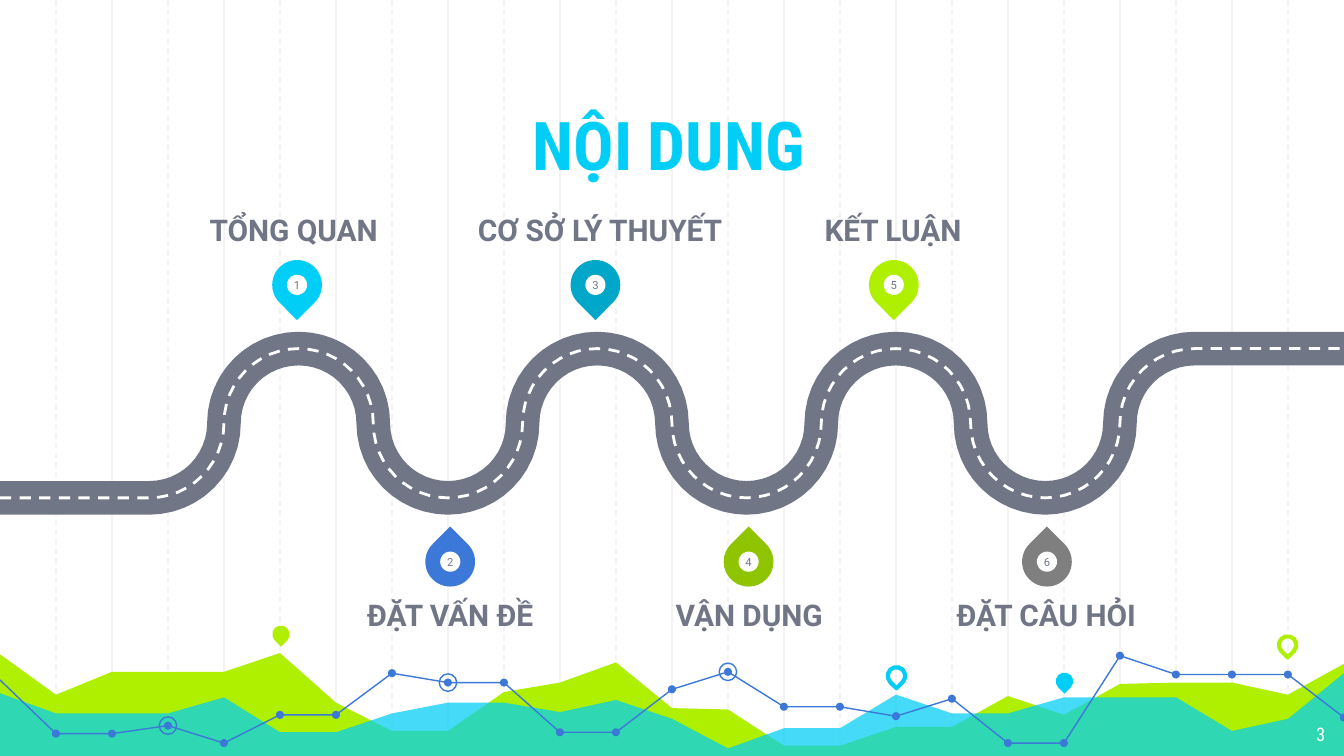
import math
from typing import NamedTuple, Optional

import lxml.etree
import pptx
import pptx.dml.color
import pptx.enum.dml
import pptx.enum.shapes
import pptx.enum.text
import pptx.oxml.ns
import pptx.util

RGBColor = pptx.dml.color.RGBColor
MSO_SHAPE = pptx.enum.shapes.MSO_SHAPE
PP_ALIGN = pptx.enum.text.PP_ALIGN
MSO_ANCHOR = pptx.enum.text.MSO_ANCHOR

CYAN = RGBColor(0x00, 0xCE, 0xF6)
TEAL = RGBColor(0x00, 0xA7, 0xC8)
LIME = RGBColor(0xAF, 0xF0, 0x00)
GREEN = RGBColor(0x8E, 0xC4, 0x00)
BLUE = RGBColor(0x3C, 0x78, 0xD8)
GRAY = RGBColor(0x7F, 0x7F, 0x7F)
SLATE = RGBColor(0x70, 0x76, 0x85)
PALE = RGBColor(0xF3, 0xF3, 0xF3)
WHITE = RGBColor(0xFF, 0xFF, 0xFF)

BODY_FONT = "Roboto"
TITLE_FONT = "Roboto Condensed"

COLUMN_COUNT = 24
COLUMN_WIDTH = 10 / COLUMN_COUNT
BOTTOM = 5.64
ROAD_RADIUS = 10 / 18
ROAD_MIDDLE = 3.15
ARC_STEPS = 24

LIME_HEIGHTS = [4.87, 5.17, 5, 5, 5, 4.86, 5.23, 5.44, 5.44, 5.15, 5.08, 4.93, 5.27,
                5.28, 5.55, 5.55, 5.41, 5.41, 5.18, 5.32, 5.09, 5.08, 5.08, 5.17, 4.94]
CYAN_HEIGHTS = [5.16, 5.31, 5.31, 5.31, 5.19, 5.45, 5.45, 5.31, 5.23, 5.23, 5.3, 5.21, 5.35,
                5.57, 5.42, 5.42, 5.17, 5.31, 5.31, 5.19, 5.19, 5.19, 5.44, 5.35, 5.01]
TREND_HEIGHTS = [5.06, 5.46, 5.46, 5.4, 5.53, 5.32, 5.32, 5.01, 5.08, 5.08, 5.45, 5.45, 5.13,
                 5, 5.26, 5.26, 5.33, 5.2, 5.53, 5.53, 4.88, 5.02, 5.02, 5.02, 5.34]
TREND_PARTS = [(0, 11), (11, 20), (20, 24)]
RINGED_COLUMNS = [3, 8, 13]


class Marker(NamedTuple):
    center_x: float
    center_y: float
    color: RGBColor
    hollow: bool


class Stop(NamedTuple):
    number: int
    label: str
    center_x: float
    color: RGBColor
    label_left: float
    label_width: float


MARKERS = [
    Marker(2.09, 4.72, LIME, False),
    Marker(6.67, 5.03, CYAN, True),
    Marker(7.92, 5.07, CYAN, False),
    Marker(9.58, 4.8, LIME, True),
]
STOPS = [
    Stop(1, "TỔNG QUAN", 2.21, CYAN, 1.14, 2.09),
    Stop(2, "ĐẶT VẤN ĐỀ", 3.35, BLUE, 2.56, 1.58),
    Stop(3, "CƠ SỞ LÝ THUYẾT", 4.43, TEAL, 3.29, 2.35),
    Stop(4, "VẬN DỤNG", 5.57, GREEN, 4.33, 2.49),
    Stop(5, "KẾT LUẬN", 6.65, LIME, 5.94, 1.41),
    Stop(6, "ĐẶT CÂU HỎI", 7.79, GRAY, 7.08, 1.41),
]


def length(inches: float) -> int:
    return pptx.util.Cm(inches * 2.54)


def paint(shape, fill: Optional[RGBColor] = None, line: Optional[RGBColor] = None,
          width: float = 0.75) -> None:
    shape.shadow.inherit = False
    if fill is None:
        shape.fill.background()
    else:
        shape.fill.solid()
        shape.fill.fore_color.rgb = fill
    if line is None:
        shape.line.fill.background()
    else:
        shape.line.color.rgb = line
        shape.line.width = pptx.util.Pt(width)


def write(shape, text: str, size: float, color: RGBColor, font: str = BODY_FONT,
          bold: bool = False, align=PP_ALIGN.CENTER, anchor=MSO_ANCHOR.TOP,
          inset: float = 0) -> None:
    frame = shape.text_frame
    frame.text = text
    frame.word_wrap = True
    frame.auto_size = pptx.enum.text.MSO_AUTO_SIZE.NONE
    frame.vertical_anchor = anchor
    frame.margin_left = frame.margin_right = length(inset)
    frame.margin_top = frame.margin_bottom = length(inset)
    paragraph = frame.paragraphs[0]
    paragraph.alignment = align
    run = paragraph.runs[0]
    run.font.size = pptx.util.Pt(size)
    run.font.name = font
    run.font.bold = bold
    run.font.color.rgb = color


def add_centered(slide, kind, center_x: float, center_y: float, size: float):
    return slide.shapes.add_shape(kind, length(center_x - size / 2), length(center_y - size / 2),
                                  length(size), length(size))


def add_text_box(slide, left: float, top: float, width: float, height: float):
    return slide.shapes.add_textbox(length(left), length(top), length(width), length(height))


def add_path(slide, points: list[tuple[float, float]], close: bool = False):
    corners = [(length(x), length(y)) for x, y in points]
    builder = slide.shapes.build_freeform(*corners[0])
    builder.add_line_segments(corners[1:], close=close)
    return builder.convert_to_shape()


def column_points(heights: list[float], first: int = 0) -> list[tuple[float, float]]:
    return [(column * COLUMN_WIDTH, y) for column, y in enumerate(heights, first)]


def road_points() -> list[tuple[float, float]]:
    points = [(0, ROAD_MIDDLE + ROAD_RADIUS)]
    for bend in range(1, 9):
        direction = 1 if bend % 2 else -1
        first = ARC_STEPS // 2 if bend == 1 else 0
        last = ARC_STEPS // 2 if bend == 8 else ARC_STEPS
        for step in range(first, last + 1):
            angle = math.pi * (1 - step / ARC_STEPS)
            points.append((bend * 2 * ROAD_RADIUS + ROAD_RADIUS * math.cos(angle),
                           ROAD_MIDDLE + direction * ROAD_RADIUS * math.sin(angle)))
    return points + [(10, ROAD_MIDDLE - ROAD_RADIUS)]


def draw_grid(slide) -> None:
    for column in [*range(2, COLUMN_COUNT, 2), *range(1, COLUMN_COUNT, 2)]:
        x = length(column * COLUMN_WIDTH)
        connector = slide.shapes.add_connector(pptx.enum.shapes.MSO_CONNECTOR.STRAIGHT,
                                               x, 0, x, length(5.65))
        connector.line.color.rgb = PALE
        connector.line.width = pptx.util.Pt(0.75)
        if column % 2:
            connector.line.dash_style = pptx.enum.dml.MSO_LINE.DASH
        lxml.etree.SubElement(connector.element.spPr, pptx.oxml.ns.qn("a:effectLst"))


def draw_area(slide, heights: list[float], color: RGBColor, opacity: int = 100) -> None:
    corners = [(10.02, BOTTOM), (-0.03, BOTTOM)]
    area = add_path(slide, column_points(heights) + corners, close=True)
    paint(area, fill=color)
    if opacity < 100:
        fill_color = next(area.element.iter(pptx.oxml.ns.qn("a:srgbClr")))
        alpha = lxml.etree.SubElement(fill_color, pptx.oxml.ns.qn("a:alpha"))
        alpha.set("val", str(opacity * 1000))


def draw_trend(slide) -> None:
    for first, last in TREND_PARTS:
        paint(add_path(slide, column_points(TREND_HEIGHTS[first:last + 1], first)), line=BLUE)
    for column, (x, y) in enumerate(column_points(TREND_HEIGHTS)):
        if column:
            paint(add_centered(slide, MSO_SHAPE.OVAL, x, y, 0.06), fill=BLUE)
        if column in RINGED_COLUMNS:
            paint(add_centered(slide, MSO_SHAPE.OVAL, x, y, 0.13), line=BLUE)


def draw_marker(slide, marker: Marker) -> None:
    pin = add_centered(slide, MSO_SHAPE.TEAR, marker.center_x, marker.center_y, 0.13)
    pin.rotation = 135
    if marker.hollow:
        paint(pin, line=marker.color, width=2.25)
    else:
        paint(pin, fill=marker.color)


def draw_stop(slide, stop: Stop) -> None:
    above = stop.number % 2 == 1
    center_y = 2.12 if above else 4.18
    pin = add_centered(slide, MSO_SHAPE.TEAR, stop.center_x, center_y, 0.37)
    pin.rotation = 135 if above else 315
    paint(pin, fill=stop.color)
    badge = add_centered(slide, MSO_SHAPE.OVAL, stop.center_x, center_y, 0.15)
    paint(badge, fill=WHITE)
    write(badge, str(stop.number), 6, SLATE, anchor=MSO_ANCHOR.MIDDLE)
    label = add_text_box(slide, stop.label_left, 1.26 if above else 4.44, stop.label_width, 0.58)
    write(label, stop.label, 16, SLATE, bold=True,
          anchor=MSO_ANCHOR.BOTTOM if above else MSO_ANCHOR.TOP)


def main() -> None:
    presentation = pptx.Presentation()
    presentation.slide_width = pptx.util.Cm(25.4)
    presentation.slide_height = pptx.util.Cm(14.29)
    slide = presentation.slides.add_slide(presentation.slide_layouts[5])

    draw_grid(slide)
    draw_area(slide, LIME_HEIGHTS, LIME)
    draw_area(slide, CYAN_HEIGHTS, CYAN, opacity=73)
    draw_trend(slide)
    for marker in MARKERS:
        draw_marker(slide, marker)

    title = slide.shapes.title
    title.left, title.top = length(1.15), length(0.69)
    title.width, title.height = length(7.65), length(0.78)
    write(title, "NỘI DUNG", 36, CYAN, TITLE_FONT, bold=True,
          anchor=MSO_ANCHOR.BOTTOM, inset=0.1)
    title.element.getparent().append(title.element)

    page_number = add_text_box(slide, 9.36, 5.28, 0.6, 0.35)
    write(page_number, "3", 10, WHITE, TITLE_FONT, align=PP_ALIGN.RIGHT, inset=0.1)

    paint(add_path(slide, road_points()), line=SLATE, width=18)
    lane = add_path(slide, road_points())
    paint(lane, line=WHITE, width=1.5)
    lane.line.dash_style = pptx.enum.dml.MSO_LINE.DASH
    for stop in STOPS:
        draw_stop(slide, stop)

    presentation.save("out.pptx")


if __name__ == "__main__":
    main()
